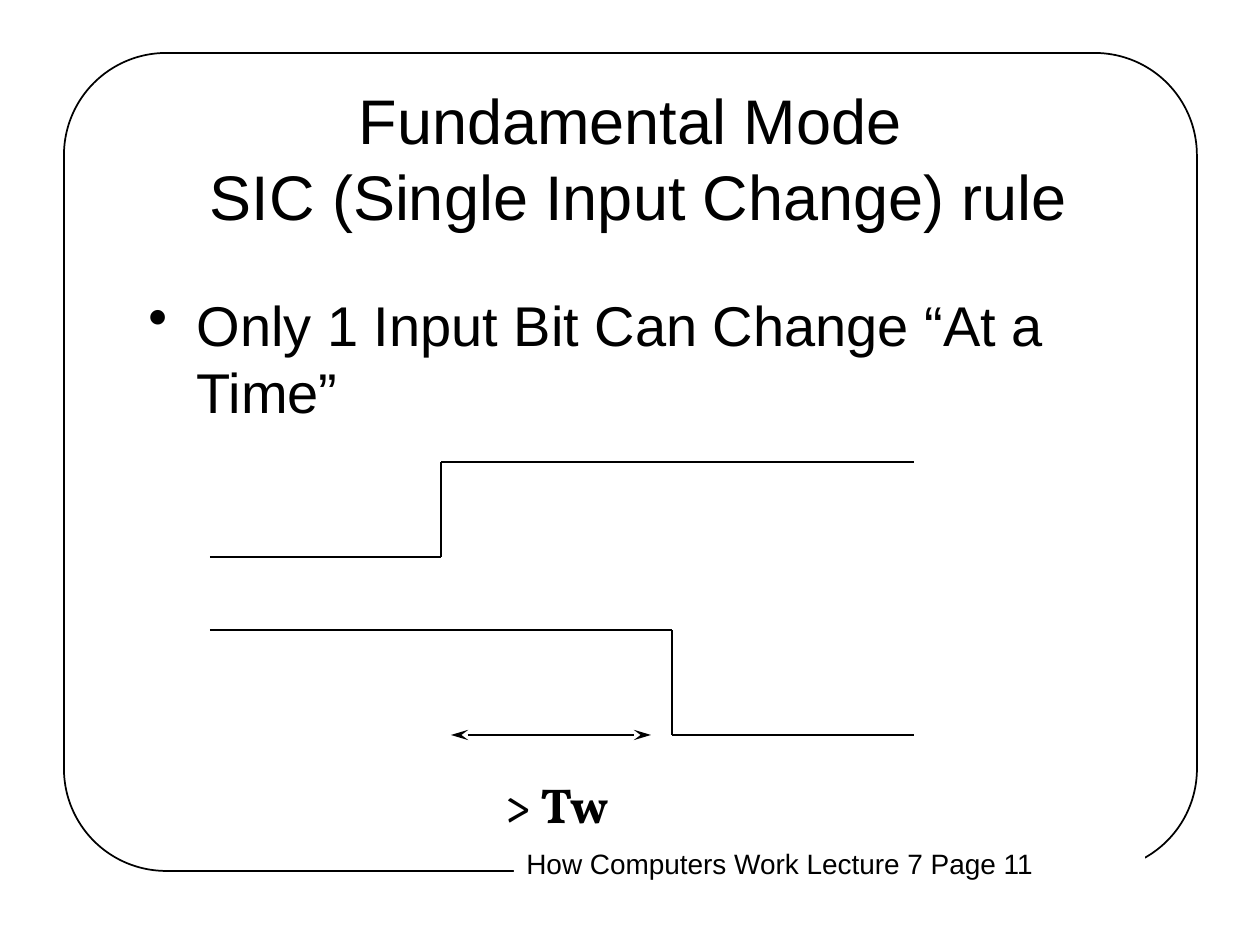
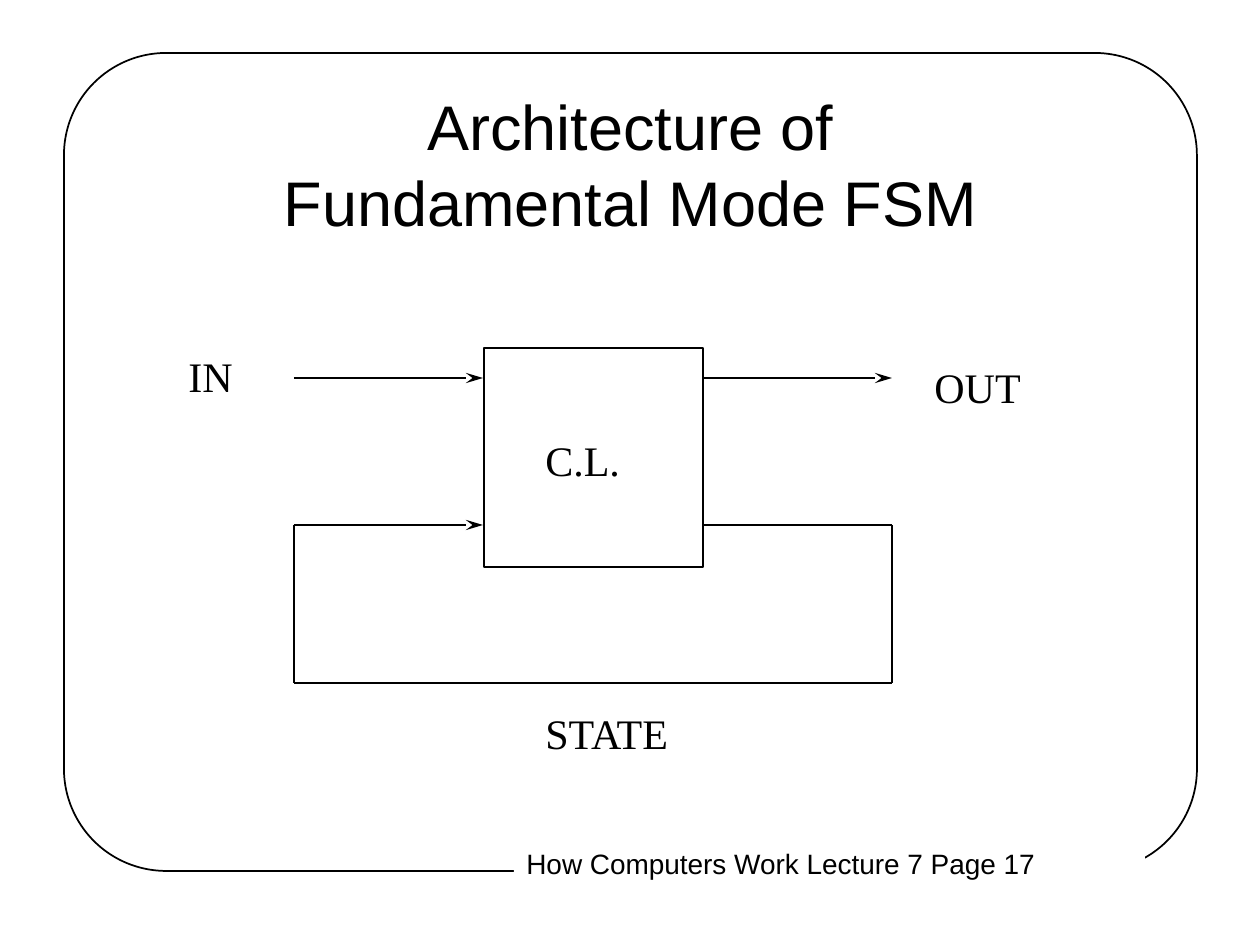
from itertools import pairwise

from lxml import etree
from pptx import Presentation
from pptx import util as u
from pptx.dml.color import RGBColor
from pptx.enum import shapes, text
from pptx.oxml.ns import qn

PX = 914400 / 126
COLORS = {"ink": "000000", "paper": "FFFFFF"}
SANS, SERIF, ACCENT = "Arial", "Times New Roman", "Vollkorn"


def px(length):
    """Turn pixels into EMU."""
    return u.Emu(round(length * PX))


def color(name):
    """Look up a named colour."""
    return RGBColor.from_string(COLORS[name])


def add_outline(page, kind, area):
    """Add an unfilled preset shape with a thin outline."""
    shape = page.shapes.add_shape(kind, *map(px, area))
    shape.shadow.inherit = False
    shape.fill.background()
    shape.line.color.rgb = color("ink")
    shape.line.width = u.Pt(1)
    return shape


def add_text(page, area, lines, size, face, bold=False, wrap=False):
    """Add a text box with one paragraph, fitted to its text unless it wraps."""
    box = page.shapes.add_textbox(*map(px, area))
    box.text_frame.word_wrap = wrap
    if not wrap:
        box.text_frame.auto_size = text.MSO_AUTO_SIZE.SHAPE_TO_FIT_TEXT
    para = box.text_frame.paragraphs[0]
    for index, line in enumerate(lines):
        if index:
            para.add_line_break()
        span = para.add_run()
        span.text = line
        span.font.size = u.Pt(size)
        span.font.name = face
        span.font.bold = bold
        span.font.color.rgb = color("ink")
    return box


def add_title(page, area, lines):
    """Add a centred slide title."""
    box = add_text(page, area, lines, 36, SANS, wrap=True)
    box.text_frame.vertical_anchor = text.MSO_ANCHOR.MIDDLE
    box.text_frame.paragraphs[0].alignment = text.PP_ALIGN.CENTER


def add_bullet(page, area, line):
    """Add a bulleted paragraph with a hanging indent."""
    box = add_text(page, area, [line], 32, SANS, wrap=True)
    props = box.text_frame.paragraphs[0]._p.get_or_add_pPr()
    props.set("marL", str(px(48)))
    props.set("indent", str(px(-48)))
    etree.SubElement(props, qn("a:buChar"), char="•")


def add_path(page, points, head=False, tail=False):
    """Join points with straight lines, with optional arrowheads at the ends."""
    segments = list(pairwise(points))
    for index, (start, end) in enumerate(segments):
        line = page.shapes.add_connector(
            shapes.MSO_CONNECTOR.STRAIGHT, *map(px, start + end))
        line.line.color.rgb = color("ink")
        line.line.width = u.Pt(1)
        outline = line.line._get_or_add_ln()
        if head and index == 0:
            etree.SubElement(outline, qn("a:headEnd"), type="stealth", len="lg")
        if tail and index == len(segments) - 1:
            etree.SubElement(outline, qn("a:tailEnd"), type="stealth", len="lg")
        etree.SubElement(line._element.spPr, qn("a:effectLst"))


def add_page(deck, number):
    """Add a blank slide with the rounded frame and the footer."""
    page = deck.slides.add_slide(deck.slide_layouts[6])
    frame = add_outline(page, shapes.MSO_SHAPE.ROUNDED_RECTANGLE, (64, 53, 1133, 818))
    frame.adjustments[0] = 0.125
    footer = add_text(page, (514, 840, 631, 47),
                      [f"How Computers Work Lecture 7 Page {number}"], 16, SANS, wrap=True)
    footer.fill.solid()
    footer.fill.fore_color.rgb = color("paper")
    return page


def build_input_rule(deck):
    """Build the single input change slide with its two waveforms."""
    page = add_page(deck, 11)
    add_title(page, (105, 21, 1050, 273),
              ["Fundamental Mode", " SIC (Single Input Change) rule"])
    add_bullet(page, (136, 284, 987, 567), "Only 1 Input Bit Can Change “At a Time”")
    left, rise, fall, right = 210, 441, 672, 914
    add_path(page, [(left, 557), (rise, 557), (rise, 462), (right, 462)])
    add_path(page, [(left, 630), (fall, 630), (fall, 735), (right, 735)])
    add_path(page, [(451, 735), (651, 735)], head=True, tail=True)
    add_text(page, (492, 768, 140, 72), ["> Tw"], 28, ACCENT, bold=True)


def build_architecture(deck):
    """Build the state machine diagram slide."""
    page = add_page(deck, 17)
    add_title(page, (95, 84, 1071, 158), ["Architecture of", "Fundamental Mode FSM"])
    add_outline(page, shapes.MSO_SHAPE.RECTANGLE, (484, 348, 219, 219))
    left, logic_left, logic_right, right = 294, 483, 703, 892
    signal, state, feedback = 378, 525, 683
    add_path(page, [(left, signal), (logic_left, signal)], tail=True)
    add_path(page, [(logic_right, signal), (right, signal)], tail=True)
    add_path(page, [(logic_right, state), (right, state), (right, feedback),
                    (left, feedback), (left, state), (logic_left, state)], tail=True)
    labels = [("C.L.", 533, 428, 100), ("IN", 176, 344, 72),
              ("OUT", 922, 355, 112), ("STATE", 533, 701, 156)]
    for label, x, y, width in labels:
        add_text(page, (x, y, width, 63), [label], 24, SERIF)


def main():
    """Build and save the deck."""
    deck = Presentation()
    deck.slide_width, deck.slide_height = px(1260), px(945)
    build_input_rule(deck)
    build_architecture(deck)
    deck.save("out.pptx")


if __name__ == "__main__":
    main()
